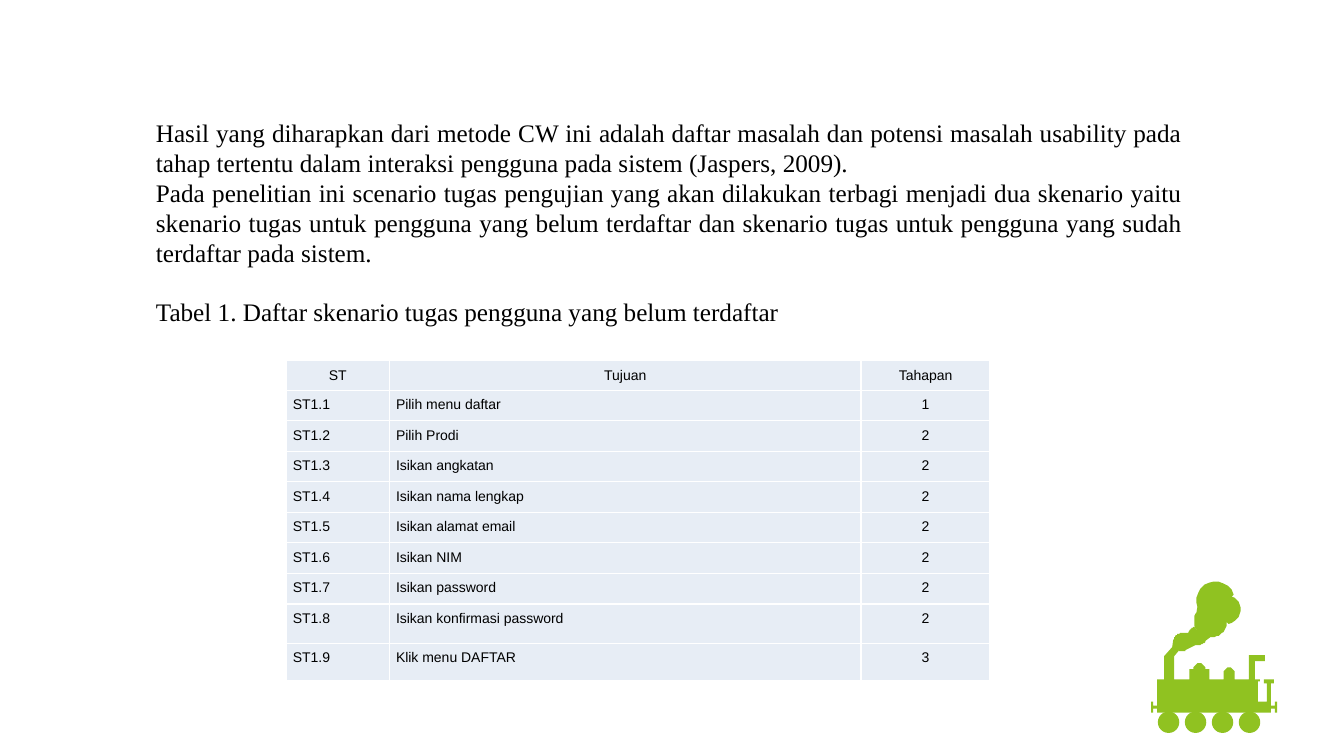
from math import cos, radians, sin

from lxml.etree import SubElement
from pptx import Presentation
from pptx.dml.color import RGBColor
from pptx.enum.shapes import MSO_SHAPE
from pptx.enum.text import MSO_ANCHOR, PP_ALIGN
from pptx.oxml.ns import qn
from pptx.util import Cm, Pt

BLACK = RGBColor(0x00, 0x00, 0x00)
CELL = RGBColor(0xE7, 0xED, 0xF5)
GREEN = RGBColor(0x90, 0xC2, 0x21)
WHITE = RGBColor(0xFF, 0xFF, 0xFF)

PARAGRAPHS = [
    "Hasil yang diharapkan dari metode CW ini adalah daftar masalah dan potensi masalah "
    "usability pada tahap tertentu dalam interaksi pengguna pada sistem (Jaspers, 2009).",
    "Pada penelitian ini scenario tugas pengujian yang akan dilakukan terbagi menjadi dua "
    "skenario yaitu skenario tugas untuk pengguna yang belum terdaftar dan skenario tugas "
    "untuk pengguna yang sudah terdaftar pada sistem.",
]
CAPTION = "Tabel 1. Daftar skenario tugas pengguna yang belum terdaftar"
TASKS = [
    ("Pilih menu daftar", 1),
    ("Pilih Prodi", 2),
    ("Isikan angkatan", 2),
    ("Isikan nama lengkap", 2),
    ("Isikan alamat email", 2),
    ("Isikan NIM", 2),
    ("Isikan password", 2),
    ("Isikan konfirmasi password", 2),
    ("Klik menu DAFTAR", 3),
]
COL_WIDTHS = [2.6, 11.89, 3.25]
ROW_HEIGHTS = [0.74] + [0.77] * 7 + [0.99, 0.95]

TRAIN_UNIT = Cm(0.0254)
FRONT, REAR = 1148, 1261
DECK, FLOOR = 674, 707
TOP_PUFF = (1206, 596, 19)
SIDE_PUFF = (1217, 605, 14)
MIDDLE_PUFF = (1201, 616, 16.5)
SMALL_PUFF = (1188, 631, 9.5)
FIRST_PUFF = (1173, 637, 9)


def format_paragraph(p, font, size, align):
    p.alignment = align
    for r in p.runs:
        r.font.name = font
        r.font.size = Pt(size)
        r.font.color.rgb = BLACK


def add_text(s, x, y, w, h, lines, align):
    tf = s.shapes.add_textbox(Cm(x), Cm(y), Cm(w), Cm(h)).text_frame
    tf.word_wrap = True
    tf.text = "\n".join(lines)
    for p in tf.paragraphs:
        format_paragraph(p, "Times New Roman", 18, align)


def add_borders(cell):
    tcPr = cell._tc.get_or_add_tcPr()
    for side in ("a:lnL", "a:lnR", "a:lnT", "a:lnB"):
        ln = SubElement(tcPr, qn(side), w=str(Pt(1)))
        fill = SubElement(ln, qn("a:solidFill"))
        SubElement(fill, qn("a:srgbClr"), val=str(WHITE))


def fill_cell(cell, text, align):
    cell.margin_left = cell.margin_right = Cm(0.17)
    cell.margin_top = cell.margin_bottom = Cm(0.17)
    cell.vertical_anchor = MSO_ANCHOR.TOP
    add_borders(cell)
    cell.fill.solid()
    cell.fill.fore_color.rgb = CELL
    cell.text = text
    format_paragraph(cell.text_frame.paragraphs[0], "Arial", 10, align)


def add_task_table(s, x, y):
    rows = [("ST", "Tujuan", "Tahapan")]
    rows += [(f"ST1.{i}", goal, str(steps)) for i, (goal, steps) in enumerate(TASKS, 1)]
    table = s.shapes.add_table(len(rows), len(COL_WIDTHS), Cm(x), Cm(y),
                               Cm(sum(COL_WIDTHS)), Cm(sum(ROW_HEIGHTS))).table
    table.first_row = False
    table.horz_banding = False
    for col, width in zip(table.columns, COL_WIDTHS):
        col.width = Cm(width)
    for i, row in enumerate(rows):
        table.rows[i].height = Cm(ROW_HEIGHTS[i])
        for j, text in enumerate(row):
            centred = i == 0 or j == 2
            fill_cell(table.cell(i, j), text, PP_ALIGN.CENTER if centred else PP_ALIGN.LEFT)


def paint(sp):
    sp.shadow.inherit = False
    sp.fill.solid()
    sp.fill.fore_color.rgb = GREEN
    sp.line.fill.background()


def arc(circle, start, end, steps=12):
    cx, cy, radius = circle
    angles = [radians(start + (end - start) * i / steps) for i in range(steps + 1)]
    return [(cx + radius * cos(a), cy + radius * sin(a)) for a in angles]


def dome(x, y, radius, half_width):
    return [(x + half_width, DECK), (x + half_width, y), *arc((x, y, radius), 0, -180),
            (x - half_width, y), (x - half_width, DECK)]


def front_coupler():
    rod, plate = FRONT - 4, FRONT - 6
    return [(FRONT, FLOOR - 7), (rod, FLOOR - 7), (rod, FLOOR - 11), (plate, FLOOR - 11),
            (plate, FLOOR), (rod, FLOOR), (rod, FLOOR - 4), (FRONT, FLOOR - 4), (FRONT, FLOOR)]


def mirror(points):
    return [(FRONT + REAR - x, y) for x, y in reversed(points)]


def cab():
    lever = [(REAR, DECK + 4), (REAR + 3, DECK + 4), (REAR + 3, DECK), (REAR - 7, DECK),
             (REAR - 7, DECK + 4), (REAR - 4, DECK + 4), (REAR - 4, DECK + 22)]
    wall, roof = 1239, DECK - 24
    back = [(wall + 9, DECK + 22), (wall + 9, DECK + 2), (wall + 11, DECK + 2),
            (wall + 11, DECK), (wall + 6, DECK)]
    return lever + back + [(wall + 6, roof + 6), (wall + 16, roof + 6),
                           (wall + 16, roof), (wall, roof), (wall, DECK)]


def smoke():
    path = [(FIRST_PUFF, 110, 70), (SMALL_PUFF, 100, 25), (MIDDLE_PUFF, 90, 5),
            (SIDE_PUFF, 80, -70), (TOP_PUFF, -20, -200), (MIDDLE_PUFF, -150, -215),
            (SMALL_PUFF, -110, -160), (FIRST_PUFF, -100, -165)]
    return [point for puff, start, end in path for point in arc(puff, start, end)]


def chimney():
    left, right, rim = 1155, 1165, DECK - 23
    return [(right, DECK), (right, rim), *smoke(), (left + 8, rim - 9), (left, rim),
            (left, DECK)]


def add_train(s):
    coupler = front_coupler()
    bell, boiler = dome(1219.5, 667.5, 5.5, 5.5), dome(1190, 664, 6, 10)
    outline = coupler + mirror(coupler) + cab() + bell + boiler + chimney() + [(FRONT, DECK)]
    builder = s.shapes.build_freeform(*outline[0], scale=TRAIN_UNIT)
    builder.add_line_segments(outline[1:], close=True)
    paint(builder.convert_to_shape())
    for i in range(4):
        paint(s.shapes.add_shape(MSO_SHAPE.OVAL, Cm(29.18 + 0.68 * i), Cm(17.93),
                                 Cm(0.54), Cm(0.54)))


def main():
    prs = Presentation()
    prs.slide_width = Cm(33.87)
    prs.slide_height = Cm(19.05)
    s = prs.slides.add_slide(prs.slide_layouts[6])
    add_task_table(s, 7.21, 9.09)
    add_text(s, 3.68, 2.82, 26.37, 4.88, PARAGRAPHS, PP_ALIGN.JUSTIFY)
    add_text(s, 3.68, 7.34, 16.94, 1.02, [CAPTION], PP_ALIGN.LEFT)
    add_train(s)
    prs.save("out.pptx")


if __name__ == "__main__":
    main()
